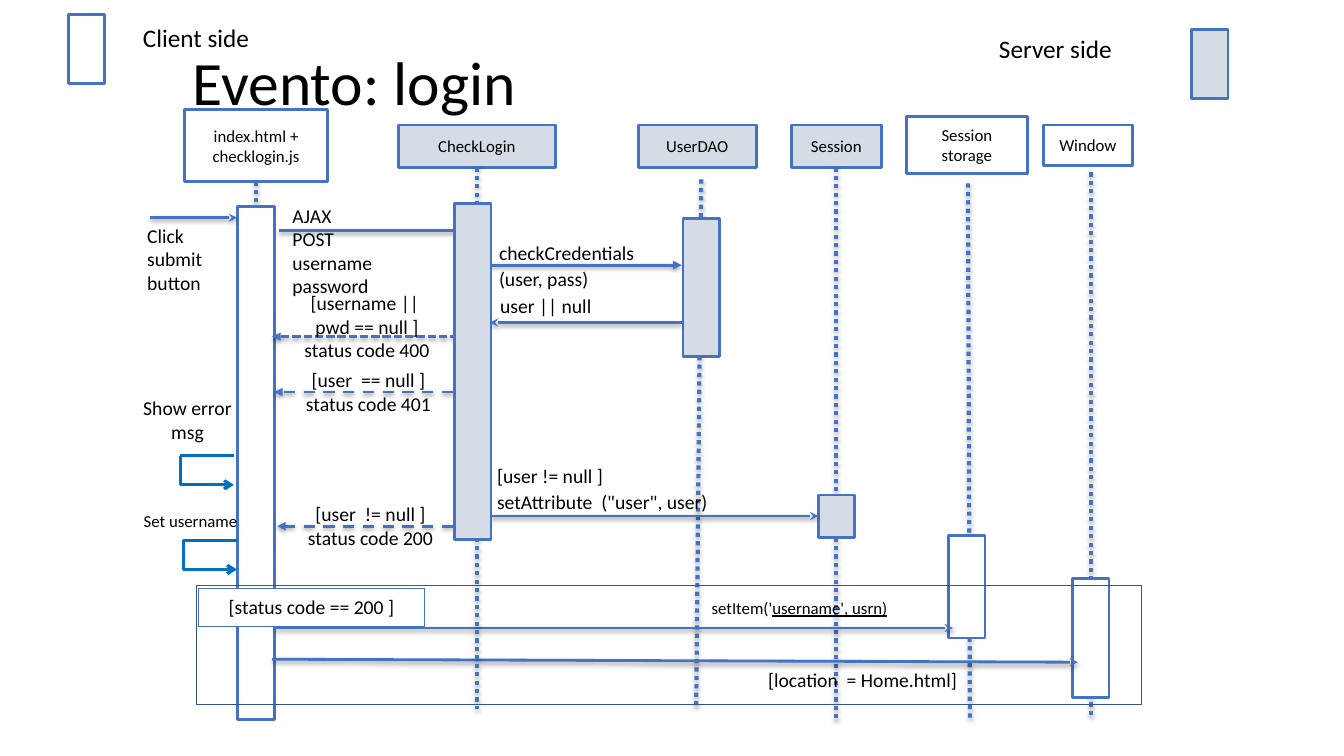
import pptx
import pptx.util
import pptx.dml.color
import pptx.enum.dml
import pptx.enum.shapes
import pptx.enum.text
import lxml.etree

WIDE, HIGH = pptx.util.Inches(13.33), pptx.util.Inches(7.5)
COLS, ROWS = 133.3, 75
BLUE, NAVY, CYAN = "4472C4", "325491", "0070C0"
GREY, WHITE, BLACK = "D6DCE5", "FFFFFF", "000000"
FONT = "Calibri"
BAR = 3.6
DASH = pptx.enum.dml.MSO_LINE
LEFT, MID = pptx.enum.text.PP_ALIGN.LEFT, pptx.enum.text.PP_ALIGN.CENTER
ROOF, CORE = pptx.enum.text.MSO_ANCHOR.TOP, pptx.enum.text.MSO_ANCHOR.MIDDLE


def across(cols):
    return round(WIDE * cols / COLS)


def down(rows):
    return round(HIGH * rows / ROWS)


def place(box):
    x, y, w, h = box
    return across(x), down(y), across(w), down(h)


def color(code):
    return pptx.dml.color.RGBColor.from_string(code)


def write(shape, words, size=14, align=LEFT, anchor=ROOF, pad=(1.2, 0.6),
          wrap=True, under="", after=0, space=None):
    frame = shape.text_frame
    frame.word_wrap = wrap
    frame.vertical_anchor = anchor
    frame.margin_left = frame.margin_right = across(pad[0])
    frame.margin_top = frame.margin_bottom = down(pad[1])
    frame.text = words
    if under:
        run = frame.paragraphs[-1].add_run()
        run.text = under
        run.font.underline = True
    for par in frame.paragraphs:
        par.alignment = align
        par.space_after = pptx.util.Pt(after)
        par.line_spacing = space
        for run in par.runs:
            run.font.size = pptx.util.Pt(size)
            run.font.name = FONT
            run.font.color.rgb = color(BLACK)


def note(slide, box, words, **style):
    write(slide.shapes.add_textbox(*place(box)), words, **style)


def block(slide, box, fill=None, line=BLUE, width=2):
    kind = pptx.enum.shapes.MSO_SHAPE.RECTANGLE
    shape = slide.shapes.add_shape(kind, *place(box))
    shape.shadow.inherit = False
    if fill:
        shape.fill.solid()
        shape.fill.fore_color.rgb = color(fill)
    else:
        shape.fill.background()
    shape.line.color.rgb = color(line)
    shape.line.width = pptx.util.Pt(width)
    return shape


def wire(group, start, end, line=BLUE, width=2, dash=None, tip=None, shade=38):
    kind = pptx.enum.shapes.MSO_CONNECTOR.STRAIGHT
    link = group.shapes.add_connector(kind, across(start[0]), down(start[1]),
                                      across(end[0]), down(end[1]))
    link.line.color.rgb = color(line)
    link.line.width = pptx.util.Pt(width)
    if dash:
        link.line.dash_style = dash
    space = pptx.oxml.ns.qn
    if tip:
        stroke = link.line._get_or_add_ln()
        lxml.etree.SubElement(stroke, space("a:tailEnd"), type=tip)
    glow = lxml.etree.SubElement(link._element.spPr, space("a:effectLst"))
    if shade:
        cast = lxml.etree.SubElement(glow, space("a:outerShdw"), blurRad="40000",
                                     dist="20000", dir="5400000", rotWithShape="0")
        tint = lxml.etree.SubElement(cast, space("a:srgbClr"), val=BLACK)
        lxml.etree.SubElement(tint, space("a:alpha"), val=str(shade * 1000))
    return link


def header(slide, box):
    title = slide.shapes.title
    title.left, title.top, title.width, title.height = place(box)
    write(title, "Evento: login", size=44, anchor=CORE, space=0.9)


def legend(slide, box, words, key, fill):
    x, y, w, h = box
    block(slide, (x + key[0], y + key[1], BAR, 6.9), fill)
    note(slide, box, words, size=18, pad=(1, 0.5))


def life(slide, box, name, fill, axis, bar):
    x, y, w, h = box
    head = block(slide, box, fill)
    write(head, name, size=12, align=MID, anchor=CORE)
    top, end, lean = axis
    mid = x + w / 2
    link = wire(slide, (mid + lean[0], top), (mid + lean[1], end), width=3,
                dash=DASH.ROUND_DOT, shade=35)
    if top <= y + h:
        link.begin_connect(head, 2)
    shift, start, tall = bar
    return block(slide, (mid + shift - BAR / 2, start, BAR, tall), fill)


def message(slide, box, words, drop, reach, tip="stealth", dash=None, sink=0, **style):
    x, y, w, h = box
    row = y + drop
    link = wire(slide, (x + reach[0], row), (x + reach[1], row + sink),
                dash=dash, tip=tip)
    note(slide, box, words, **style)
    return link


def loop(slide, box, words, drop, **style):
    x, y, w, h = box
    near, far = x + 5.3, x + 10.6
    top, base = y + drop, y + drop + 2.9
    group = slide.shapes.add_group_shape()
    turns = [(far, top), (near, top), (near, base), (far, base)]
    for start, end, tip in zip(turns, turns[1:], (None, None, "arrow")):
        wire(group, start, end, line=CYAN, width=2.25, tip=tip, shade=0)
    note(slide, box, words, align=MID, **style)


def guard(slide, box, words):
    x, y, w, h = box
    label = block(slide, (x + 0.2, y + 0.3, 22.4, 3.7), WHITE, width=0.25)
    write(label, words, align=MID)
    block(slide, box, line=NAVY, width=1)


def main():
    deck = pptx.Presentation()
    deck.slide_width, deck.slide_height = WIDE, HIGH
    slide = deck.slides.add_slide(deck.slide_layouts[5])

    header(slide, (17.9, 3, 97.5, 11))
    legend(slide, (13.2, 1.7, 13.3, 4), "Client side", (-6.4, -0.3), WHITE)
    legend(slide, (98.1, 2.8, 14.3, 4), "Server side", (20.1, 0.1), GREY)

    life(slide, (18.3, 10.9, 14.2, 7.1), "index.html + checklogin.js", WHITE,
         (18, 66.4, (0, 0)), (0, 20.5, 50.9))
    life(slide, (63.3, 12.4, 11.7, 4.2), "UserDAO", GREY,
         (17.8, 70.3, (0.4, -0.1)), (0.4, 21.7, 13.7))
    store = life(slide, (78.5, 12.4, 8.9, 4.2), "Session", GREY,
                 (16.6, 71.3, (0, 0)), (0, 49.1, 4.2))
    life(slide, (89.9, 11.6, 12, 5.6), "Session storage", WHITE,
         (18.2, 71.3, (0.1, 0.3)), (0, 53.1, 10.2))
    life(slide, (103.5, 12.4, 8.8, 4), "Window", WHITE,
         (17.1, 71.3, (0.3, 0.3)), (0.3, 57.4, 11.8))

    message(slide, (13.4, 21.6, 8.6, 10.8), "Click\nsubmit\nbutton", 0, (1.5, 10.1))
    message(slide, (27.8, 19.6, 10.8, 6.8), "AJAX POST username password",
            3.3, (-0.1, 19.1))
    message(slide, (48.3, 23.3, 19, 5.3), "checkCredentials\n(user, pass)",
            3, (0.3, 19.3), tip="triangle", after=2)
    message(slide, (48.4, 28.6, 13.5, 4), "user || null", 3.4, (19.2, 0.2))
    link = message(slide, (48.1, 45.4, 36.9, 6.3),
                   '[user != null ]\nsetAttribute  ("user", user)',
                   5.8, (0.6, 33), after=2)
    link.end_connect(store, 1)
    for box, words, drop, reach, dash in (
            ((28.3, 28.3, 16.2, 5.1), "[username || \vpwd == null ]\nstatus code 400",
             5.1, (18.3, -1.3), DASH.SQUARE_DOT),
            ((28.4, 35.9, 16.3, 5.1), "[user  == null ]\nstatus code 401",
             3, (18.5, -1.2), DASH.DASH),
            ((28.4, 49.2, 16.7, 7.1), "[user  != null ]\nstatus code 200",
             3, (18.5, -0.9), DASH.DASH)):
        message(slide, box, words, drop, reach, tip="triangle", dash=dash, align=MID)
    message(slide, (72.5, 65.7, 26.1, 3.3), "[location  = Home.html]",
            -0.3, (-45.5, 34.4), sink=0.3, align=MID)
    message(slide, (69.6, 58.8, 19.6, 3), "setItem('", 3.5, (-42.4, 24.9),
            under="username', usrn)", size=12, pad=(1, 0.5), wrap=False)

    life(slide, (39.5, 12.4, 15.6, 4.2), "CheckLogin", GREY,
         (16.6, 70.3, (0, 0)), (-0.4, 20.2, 33.3))
    loop(slide, (12.6, 38.7, 12, 6.1), "Show error msg", 6.5)
    loop(slide, (12.9, 50.7, 12, 3.9), "Set username", 2.9, size=12, pad=(1.2, 0))
    guard(slide, (19.5, 58.1, 93.7, 11.8), "[status code == 200 ]")
    deck.save("out.pptx")


if __name__ == "__main__":
    main()
